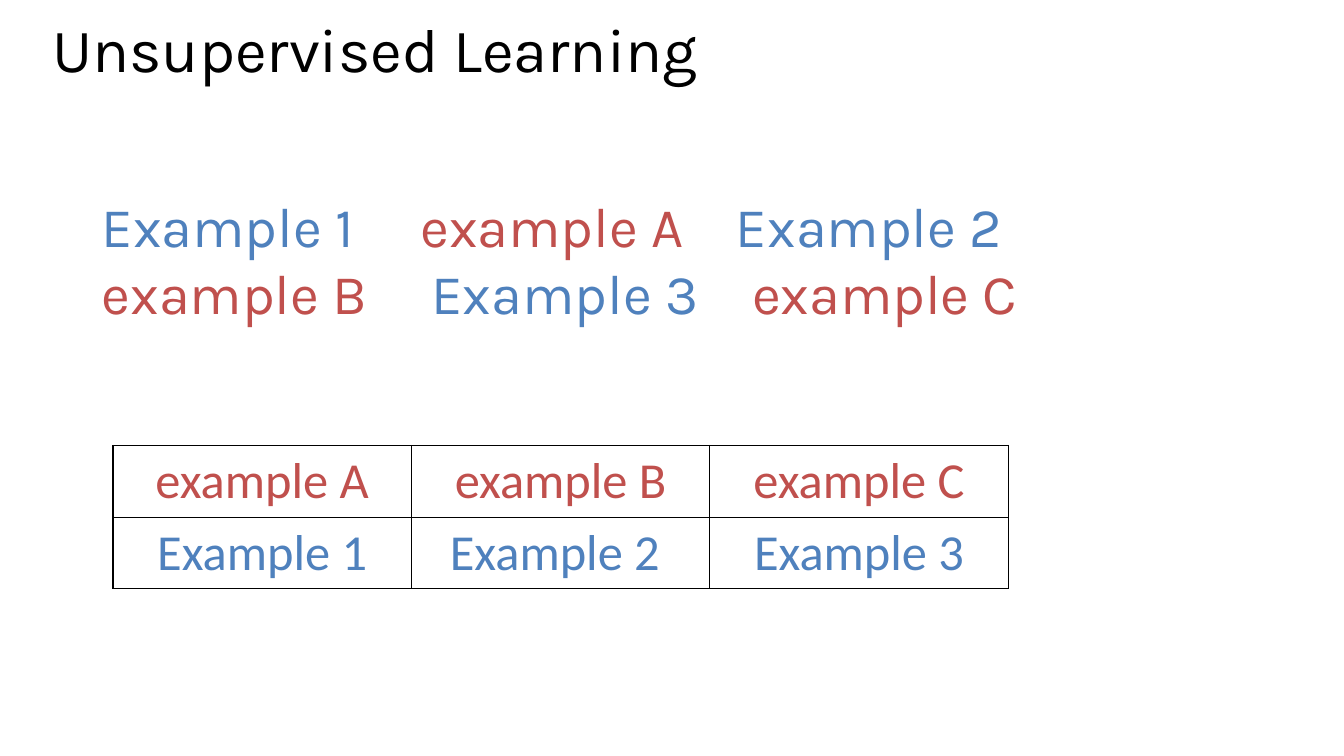
from lxml.etree import SubElement
from pptx import Presentation
from pptx.dml.color import RGBColor
from pptx.enum.text import MSO_ANCHOR, PP_ALIGN
from pptx.oxml.ns import qn
from pptx.util import Inches, Pt

BLACK, BLUE, RED = "000000", "4F81BD", "C0504D"
TITLE = "Unsupervised Learning"
# Each mixed row: words, then tab stops in inches
MIXED_ROWS = [
    (["Example 1", "example A", "Example 2"], [3.16, 6.29]),
    (["example B", "Example 3", "example C"], [3.27, 6.45]),
]
GROUPS = [
    ["example A", "example B", "example C"],
    ["Example 1", "Example 2 ", "Example 3"],
]
COLUMN_WIDTH, ROW_HEIGHT = 2.96, 0.71


def group_color(word):
    return BLUE if word.startswith("Example") else RED


def add_run(paragraph, text, font_name, size, color):
    run = paragraph.add_run()
    run.text = text
    run.font.name = font_name
    run.font.size = Pt(size)
    run.font.color.rgb = RGBColor.from_string(color)


def add_text_frame(slide, left, top, width, height):
    box = slide.shapes.add_textbox(*map(Inches, (left, top, width, height)))
    box.text_frame.word_wrap = True
    return box.text_frame


def set_tab_stops(paragraph, stops):
    tab_list = SubElement(paragraph._p.get_or_add_pPr(), qn("a:tabLst"))
    for stop in stops:
        SubElement(tab_list, qn("a:tab"), pos=str(Inches(stop)), algn="l")


def set_borders(cell):
    properties = cell._tc.get_or_add_tcPr()
    for position, side in enumerate(("a:lnL", "a:lnR", "a:lnT", "a:lnB")):
        line = SubElement(properties, qn(side), w=str(Pt(1)))
        fill = SubElement(line, qn("a:solidFill"))
        SubElement(fill, qn("a:srgbClr"), val=BLACK)
        properties.insert(position, line)


def add_title(slide):
    frame = add_text_frame(slide, 0.42, 0.2, 12.6, 0.76)
    frame.vertical_anchor = MSO_ANCHOR.TOP
    paragraph = frame.paragraphs[0]
    paragraph.line_spacing = 0.8
    add_run(paragraph, TITLE, "Karla", 44, BLACK)


def add_mixed_examples(slide):
    frame = add_text_frame(slide, 0.41, 0.96, 10.3, 6.24)
    frame.margin_left, frame.margin_top = Inches(0.6), Inches(0.94)
    for index, (words, stops) in enumerate(MIXED_ROWS):
        paragraph = frame.add_paragraph() if index else frame.paragraphs[0]
        paragraph.line_spacing = Pt(48)
        set_tab_stops(paragraph, stops)
        for column, word in enumerate(words):
            text = "\t" + word if column else word
            add_run(paragraph, text, "Karla", 40, group_color(word))


def add_group_table(slide):
    rows, columns = len(GROUPS), len(GROUPS[0])
    table = slide.shapes.add_table(
        rows, columns, Inches(1.12), Inches(4.42),
        Inches(columns * COLUMN_WIDTH), Inches(rows * ROW_HEIGHT)).table
    table.first_row = table.horz_banding = False
    for row, words in enumerate(GROUPS):
        for column, word in enumerate(words):
            cell = table.cell(row, column)
            cell.fill.background()
            set_borders(cell)
            paragraph = cell.text_frame.paragraphs[0]
            paragraph.alignment = PP_ALIGN.CENTER
            add_run(paragraph, word, "Calibri", 36, group_color(word))


def main():
    presentation = Presentation()
    presentation.slide_width = Inches(13.33)
    presentation.slide_height = Inches(7.5)
    slide = presentation.slides.add_slide(presentation.slide_layouts[6])
    add_title(slide)
    add_mixed_examples(slide)
    add_group_table(slide)
    presentation.save("out.pptx")


if __name__ == "__main__":
    main()
